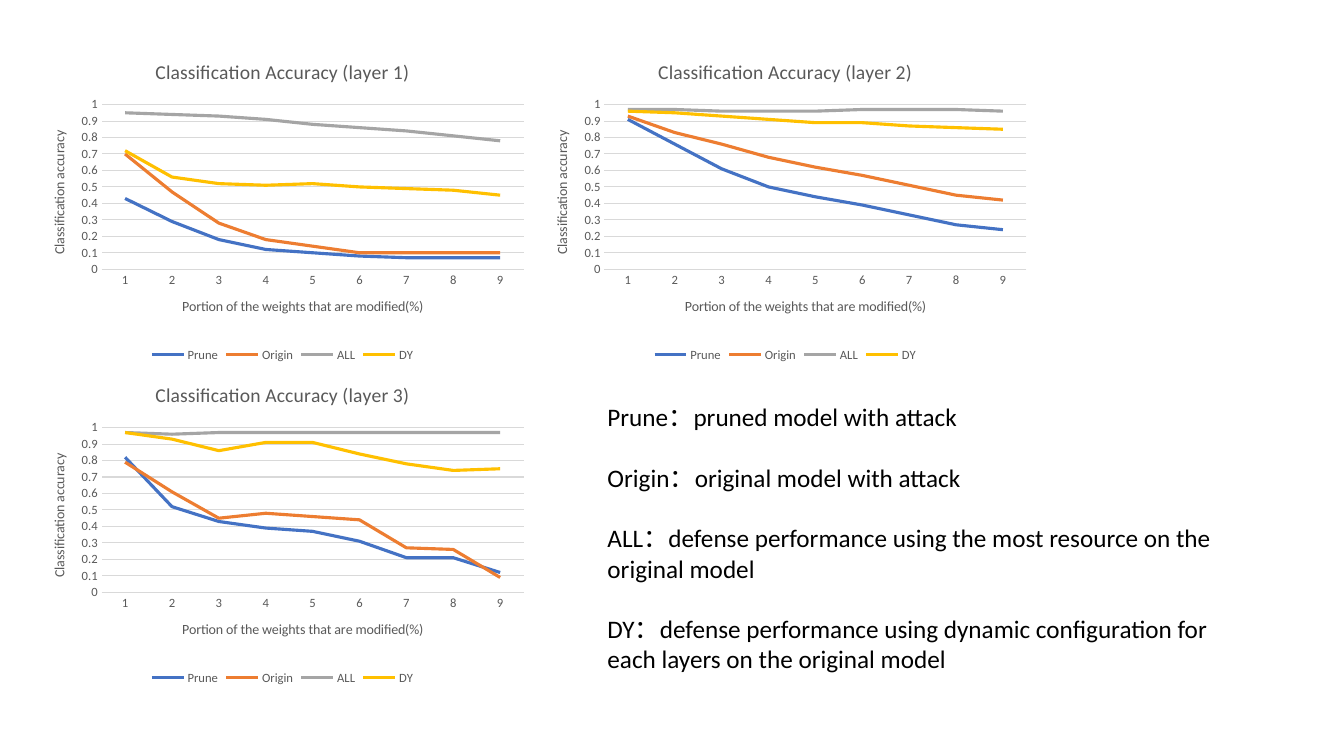
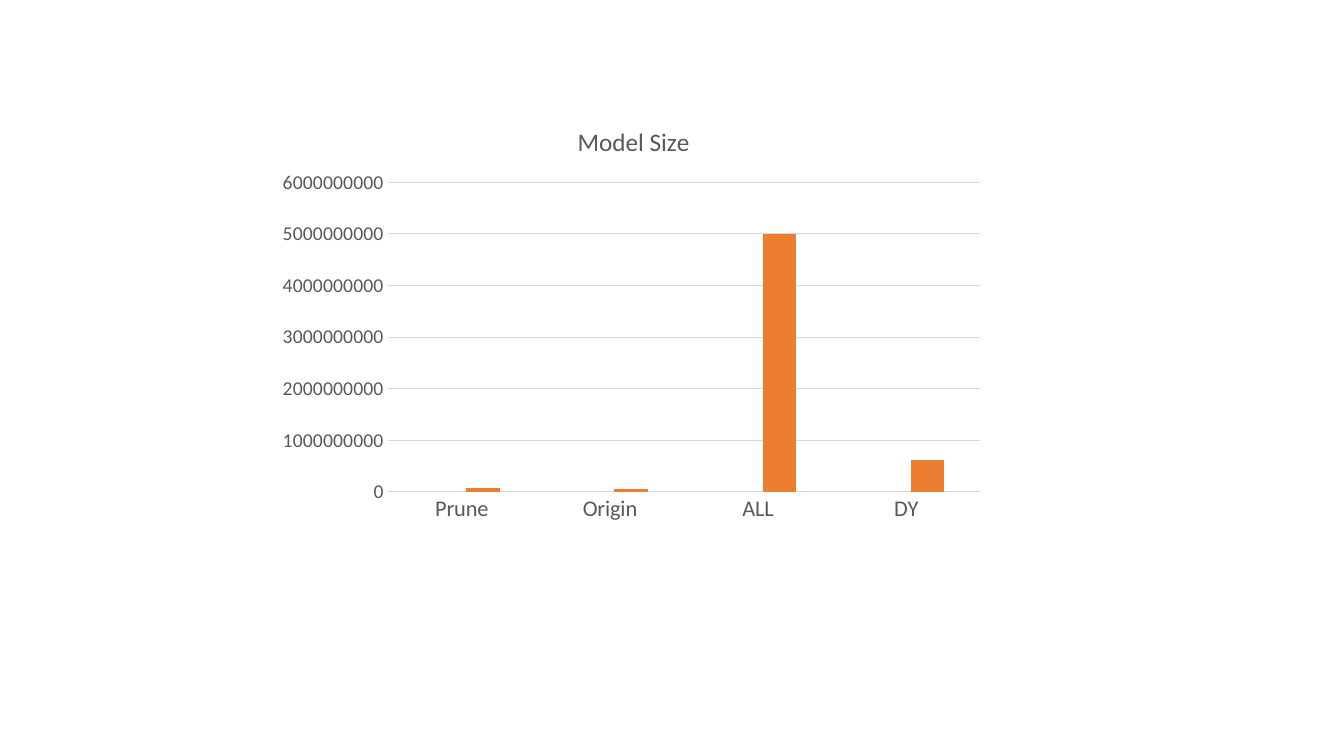
from dataclasses import dataclass

from pptx import Presentation
from pptx.chart.chart import Chart
from pptx.chart.data import CategoryChartData
from pptx.dml.color import RGBColor
from pptx.enum.chart import XL_CHART_TYPE as ChartType
from pptx.enum.chart import XL_LEGEND_POSITION as LegendPosition
from pptx.enum.chart import XL_TICK_MARK as TickMark
from pptx.oxml import parse_xml
from pptx.oxml.ns import nsdecls
from pptx.slide import Slide
from pptx.text.text import Font, TextFrame
from pptx.util import Cm, Pt


@dataclass(frozen=True)
class Theme:
    font: str = "Calibri"
    text: RGBColor = RGBColor(0x00, 0x00, 0x00)
    label: RGBColor = RGBColor(0x59, 0x59, 0x59)
    grid: RGBColor = RGBColor(0xD9, 0xD9, 0xD9)
    series: tuple[RGBColor, ...] = (
        RGBColor(0x44, 0x72, 0xC4),
        RGBColor(0xED, 0x7D, 0x31),
        RGBColor(0xA5, 0xA5, 0xA5),
        RGBColor(0xFF, 0xC0, 0x00),
    )
    body_size: int = 18
    small_title: int = 14
    large_title: int = 18
    axis_title: int = 10
    small_label: int = 9
    value_label: int = 14
    category_label: int = 16
    hairline: float = 0.75
    series_line: float = 2.25


@dataclass(frozen=True)
class Box:
    """Position and size in centimetres."""
    left: float
    top: float
    width: float
    height: float

    def lengths(self) -> tuple[Cm, Cm, Cm, Cm]:
        return Cm(self.left), Cm(self.top), Cm(self.width), Cm(self.height)


@dataclass(frozen=True)
class AccuracyChart:
    layer: int
    column: int
    row: int
    values: tuple[tuple[float, ...], ...]


THEME = Theme()
MODELS = ("Prune", "Origin", "ALL", "DY")
PORTIONS = [str(portion) for portion in range(1, 10)]

# Grid of accuracy charts
GRID_LEFT, GRID_TOP = 0.79, 1.09
CHART_WIDTH, CHART_HEIGHT = 12.66, 8.14
COLUMN_STEP = 12.67

# Plot areas as fractions of the chart
ACCURACY_PLOT = (0.14, 0.19, 0.84, 0.51)
SIZE_PLOT = (0.16, 0.18, 0.82, 0.73)

ACCURACY_CHARTS = (
    AccuracyChart(1, 0, 0, (
        (0.43, 0.29, 0.18, 0.12, 0.1, 0.08, 0.07, 0.07, 0.07),
        (0.7, 0.47, 0.28, 0.18, 0.14, 0.1, 0.1, 0.1, 0.1),
        (0.95, 0.94, 0.93, 0.91, 0.88, 0.86, 0.84, 0.81, 0.78),
        (0.72, 0.56, 0.52, 0.51, 0.52, 0.5, 0.49, 0.48, 0.45),
    )),
    AccuracyChart(2, 1, 0, (
        (0.91, 0.76, 0.61, 0.5, 0.44, 0.39, 0.33, 0.27, 0.24),
        (0.93, 0.83, 0.76, 0.68, 0.62, 0.57, 0.51, 0.45, 0.42),
        (0.97, 0.97, 0.96, 0.96, 0.96, 0.97, 0.97, 0.97, 0.96),
        (0.96, 0.95, 0.93, 0.91, 0.89, 0.89, 0.87, 0.86, 0.85),
    )),
    AccuracyChart(3, 0, 1, (
        (0.82, 0.52, 0.43, 0.39, 0.37, 0.31, 0.21, 0.21, 0.12),
        (0.79, 0.61, 0.45, 0.48, 0.46, 0.44, 0.27, 0.26, 0.09),
        (0.97, 0.96, 0.97, 0.97, 0.97, 0.97, 0.97, 0.97, 0.97),
        (0.97, 0.93, 0.86, 0.91, 0.91, 0.84, 0.78, 0.74, 0.75),
    )),
)

MODEL_NOTES = (
    "Prune：pruned model with attack",
    "Origin：original model with attack",
    "ALL：defense performance using the most resource on the original model",
    "DY：defense performance using dynamic configuration for each layers on the original model",
)

MODEL_SIZES = (80_000_000, 50_000_000, 5_000_000_000, 620_000_000)


def style_font(font: Font, size: int, color: RGBColor = THEME.label) -> None:
    font.name = THEME.font
    font.size = Pt(size)
    font.bold = False
    font.color.rgb = color


def write_title(frame: TextFrame, text: str, size: int) -> None:
    frame.text = text
    style_font(frame.paragraphs[0].font, size)


def place_plot(chart: Chart, fractions: tuple[float, ...]) -> None:
    """Fix the inner plot area inside the chart."""
    plot_area = chart.element.xpath("c:chart/c:plotArea")[0]
    for layout in plot_area.xpath("c:layout"):
        plot_area.remove(layout)
    sizes = "".join(
        f'<c:{name} val="{value}"/>' for name, value in zip("xywh", fractions)
    )
    plot_area.insert(0, parse_xml(
        f'<c:layout {nsdecls("c")}><c:manualLayout><c:layoutTarget val="inner"/>'
        f'<c:xMode val="edge"/><c:yMode val="edge"/>{sizes}'
        "</c:manualLayout></c:layout>"
    ))


def add_styled_chart(
    slide: Slide, kind: ChartType, box: Box, data: CategoryChartData,
    title: str, title_size: int, category_size: int, value_size: int,
    plot: tuple[float, ...],
) -> Chart:
    chart = slide.shapes.add_chart(kind, *box.lengths(), data).chart
    style_font(chart.font, THEME.axis_title, THEME.text)
    chart.has_title = True
    write_title(chart.chart_title.text_frame, title, title_size)
    chart.chart_title.include_in_layout = False
    chart.has_legend = False
    chart.plots[0].vary_by_categories = False
    place_plot(chart, plot)

    # Axes and grid
    category_axis, value_axis = chart.category_axis, chart.value_axis
    for axis, size in ((category_axis, category_size), (value_axis, value_size)):
        axis.major_tick_mark = axis.minor_tick_mark = TickMark.NONE
        style_font(axis.tick_labels.font, size)
    value_axis.format.line.fill.background()
    value_axis.has_major_gridlines = True
    for line in (category_axis.format.line, value_axis.major_gridlines.format.line):
        line.color.rgb = THEME.grid
        line.width = Pt(THEME.hairline)
    return chart


def add_accuracy_chart(slide: Slide, accuracy: AccuracyChart) -> None:
    data = CategoryChartData()
    data.categories = PORTIONS
    for model, values in zip(MODELS, accuracy.values):
        data.add_series(model, values)
    box = Box(
        GRID_LEFT + accuracy.column * COLUMN_STEP,
        GRID_TOP + accuracy.row * CHART_HEIGHT,
        CHART_WIDTH, CHART_HEIGHT,
    )
    chart = add_styled_chart(
        slide, ChartType.LINE, box, data,
        f"Classification Accuracy (layer {accuracy.layer})", THEME.small_title,
        THEME.small_label, THEME.small_label, ACCURACY_PLOT,
    )
    for axis, text in (
        (chart.category_axis, "Portion of the weights that are modified(%)"),
        (chart.value_axis, "Classification accuracy"),
    ):
        write_title(axis.axis_title.text_frame, text, THEME.axis_title)
    chart.value_axis.minimum_scale = 0
    chart.value_axis.maximum_scale = 1
    chart.value_axis.major_unit = 0.1

    chart.has_legend = True
    chart.legend.position = LegendPosition.BOTTOM
    chart.legend.include_in_layout = False
    style_font(chart.legend.font, THEME.small_label)

    for series, color in zip(chart.plots[0].series, THEME.series):
        series.smooth = False
        series.format.line.color.rgb = color
        series.format.line.width = Pt(THEME.series_line)


def add_model_notes(slide: Slide) -> None:
    frame = slide.shapes.add_textbox(*Box(15.06, 10, 16.94, 7.95).lengths()).text_frame
    frame.word_wrap = True
    for index, note in enumerate(MODEL_NOTES):
        paragraph = frame.paragraphs[0] if index == 0 else frame.add_paragraph()
        paragraph.text = note
        style_font(paragraph.font, THEME.body_size, THEME.text)
        if index:
            paragraph.space_before = Pt(21.6)


def add_size_chart(slide: Slide) -> None:
    data = CategoryChartData()
    data.categories = MODELS
    data.add_series("Series 1", [None] * len(MODELS))
    data.add_series("Series 2", MODEL_SIZES)
    chart = add_styled_chart(
        slide, ChartType.COLUMN_CLUSTERED, Box(6.86, 2.67, 18.21, 10.69), data,
        "Model Size", THEME.large_title,
        THEME.category_label, THEME.value_label, SIZE_PLOT,
    )
    plot = chart.plots[0]
    plot.gap_width = 219
    plot.overlap = -27
    for series, color in zip(plot.series, THEME.series):
        series.format.fill.solid()
        series.format.fill.fore_color.rgb = color


def main() -> None:
    presentation = Presentation()
    presentation.slide_width = Cm(33.87)
    presentation.slide_height = Cm(19.05)
    blank_layout = presentation.slide_layouts[6]

    # Accuracy by layer
    accuracy_slide = presentation.slides.add_slide(blank_layout)
    for accuracy in ACCURACY_CHARTS:
        add_accuracy_chart(accuracy_slide, accuracy)
    add_model_notes(accuracy_slide)

    # Model size
    add_size_chart(presentation.slides.add_slide(blank_layout))

    presentation.save("out.pptx")


if __name__ == "__main__":
    main()
